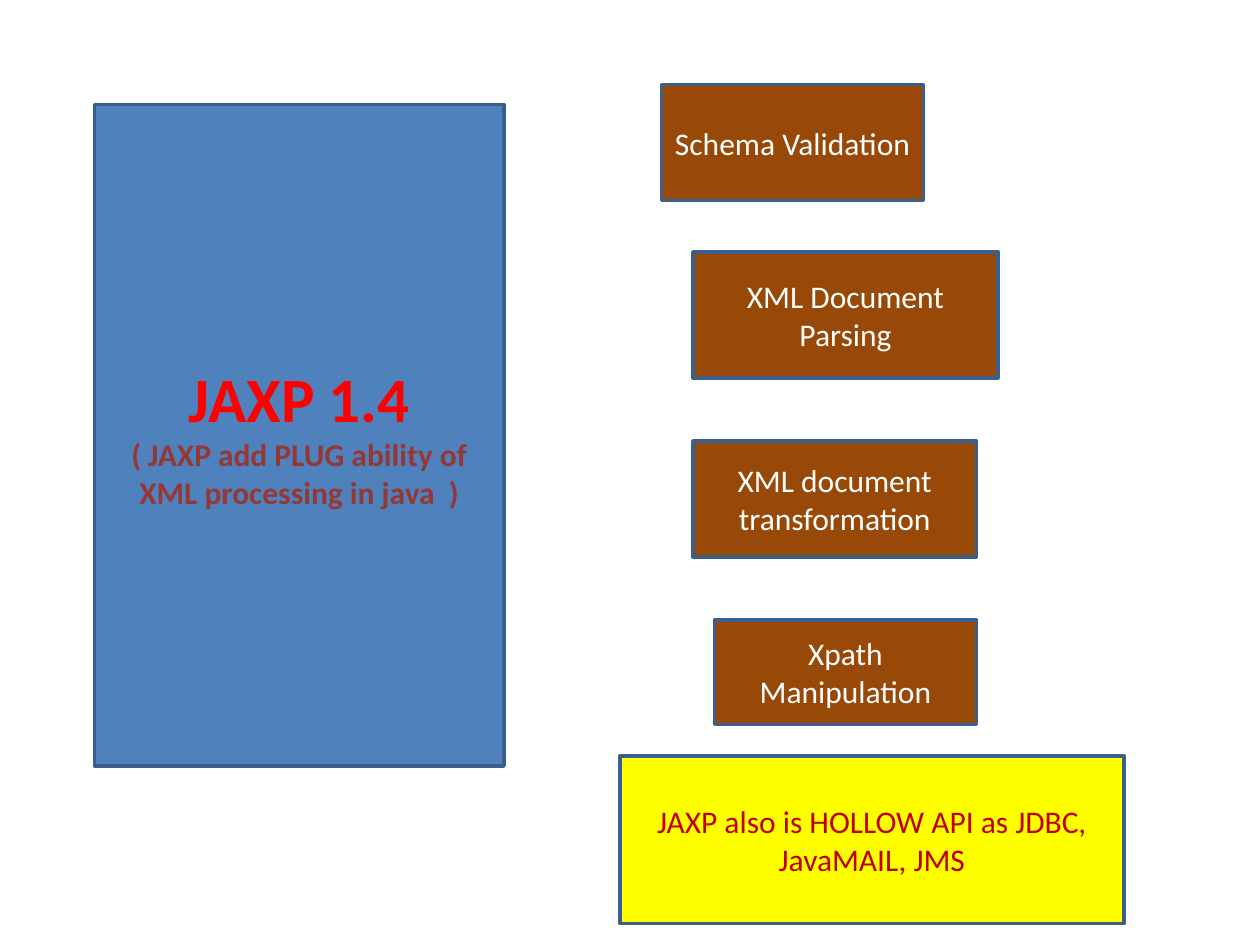
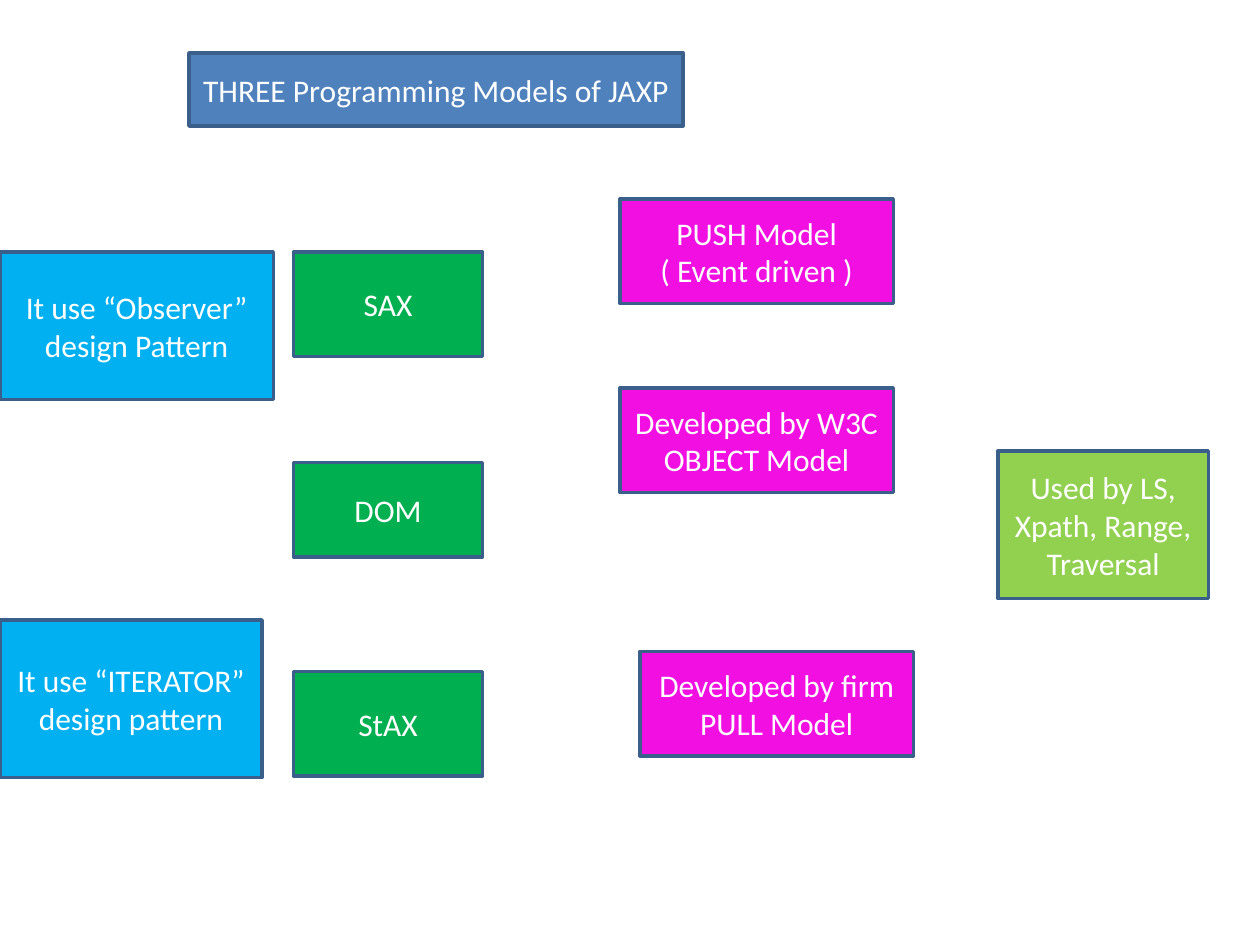
from pptx import Presentation
from pptx.dml.color import RGBColor
from pptx.enum.shapes import MSO_SHAPE
from pptx.enum.text import MSO_ANCHOR, PP_ALIGN
from pptx.util import Inches, Pt

RECTANGLE = MSO_SHAPE.RECTANGLE
MIDDLE = MSO_ANCHOR.MIDDLE
CENTER = PP_ALIGN.CENTER

FONT = "Calibri"
BLANK_LAYOUT = 6

WHITE = RGBColor(0xFF, 0xFF, 0xFF)
BLUE = RGBColor(0x4F, 0x81, 0xBD)
OUTLINE = RGBColor(0x3A, 0x5F, 0x8B)
BROWN = RGBColor(0x98, 0x48, 0x07)
YELLOW = RGBColor(0xFF, 0xFF, 0x00)
RED = RGBColor(0xFF, 0x00, 0x00)
DARK_RED = RGBColor(0xC0, 0x00, 0x00)
MAROON = RGBColor(0x95, 0x37, 0x35)
GREEN = RGBColor(0x00, 0xB0, 0x50)
LIGHT_GREEN = RGBColor(0x92, 0xD0, 0x50)
MAGENTA = RGBColor(0xF1, 0x0F, 0xE1)
SKY = RGBColor(0x00, 0xB0, 0xF0)


def format_text(para, size=18, color=WHITE, bold=False):
    para.alignment = CENTER
    for span in para.runs:
        span.font.name = FONT
        span.font.size = Pt(size)
        span.font.bold = bold
        span.font.color.rgb = color


def add_box(page, text, left, top, width, height, fill, color=WHITE):
    """Add an outlined rectangle; each line of text becomes a paragraph."""
    box = page.shapes.add_shape(
        RECTANGLE, Inches(left), Inches(top), Inches(width), Inches(height))
    box.shadow.inherit = False
    box.fill.solid()
    box.fill.fore_color.rgb = fill
    box.line.color.rgb = OUTLINE
    box.line.width = Pt(2)
    frame = box.text_frame
    frame.word_wrap = True
    frame.vertical_anchor = MIDDLE
    frame.text = text
    for para in frame.paragraphs:
        format_text(para, color=color)
    return box


def add_page(deck):
    return deck.slides.add_slide(deck.slide_layouts[BLANK_LAYOUT])


def build_features(deck):
    page = add_page(deck)
    overview = add_box(
        page, "JAXP 1.4\n( JAXP add PLUG ability of XML processing in java  )",
        0.75, 0.83, 3.25, 5.25, BLUE)
    name, summary = overview.text_frame.paragraphs
    format_text(name, 36, RED, bold=True)
    format_text(summary, 18, MAROON, bold=True)

    features = [
        ("Schema Validation", 5.25, 0.67, 2.08, 0.92),
        ("XML Document Parsing", 5.5, 2, 2.42, 1),
        ("XML document transformation", 5.5, 3.5, 2.25, 0.92),
        ("Xpath Manipulation", 5.67, 4.92, 2.08, 0.83),
    ]
    for feature in features:
        add_box(page, *feature, BROWN)
    add_box(page, "JAXP also is HOLLOW API as JDBC, JavaMAIL, JMS",
            4.92, 6, 4, 1.33, YELLOW, DARK_RED)


def build_models(deck):
    page = add_page(deck)
    add_box(page, "THREE Programming Models of JAXP",
            1.5, 0.42, 3.92, 0.58, BLUE)

    parsers = [("SAX", 2, 0.83), ("DOM", 3.67, 0.75), ("StAX", 5.33, 0.83)]
    for name, top, height in parsers:
        add_box(page, name, 2.33, top, 1.5, height, GREEN)

    models = [
        ("PUSH Model ( Event driven )", 4.92, 1.58),
        ("Developed by W3C\nOBJECT Model", 4.92, 3.08),
        ("Developed by firm\nPULL Model", 5.08, 5.17),
    ]
    for model, left, top in models:
        add_box(page, model, left, top, 2.17, 0.83, MAGENTA)

    add_box(page, "Used by LS, Xpath, Range, Traversal",
            7.92, 3.58, 1.67, 1.17, LIGHT_GREEN)

    patterns = [
        ("It use “Observer” design Pattern", 2, 2.17, 1.17),
        ("It use “ITERATOR” design pattern", 4.92, 2.08, 1.25),
    ]
    for pattern, top, width, height in patterns:
        add_box(page, pattern, 0, top, width, height, SKY)


def main():
    deck = Presentation()
    deck.slide_width = Inches(10)
    deck.slide_height = Inches(7.5)
    build_features(deck)
    build_models(deck)
    deck.save("out.pptx")


if __name__ == "__main__":
    main()
